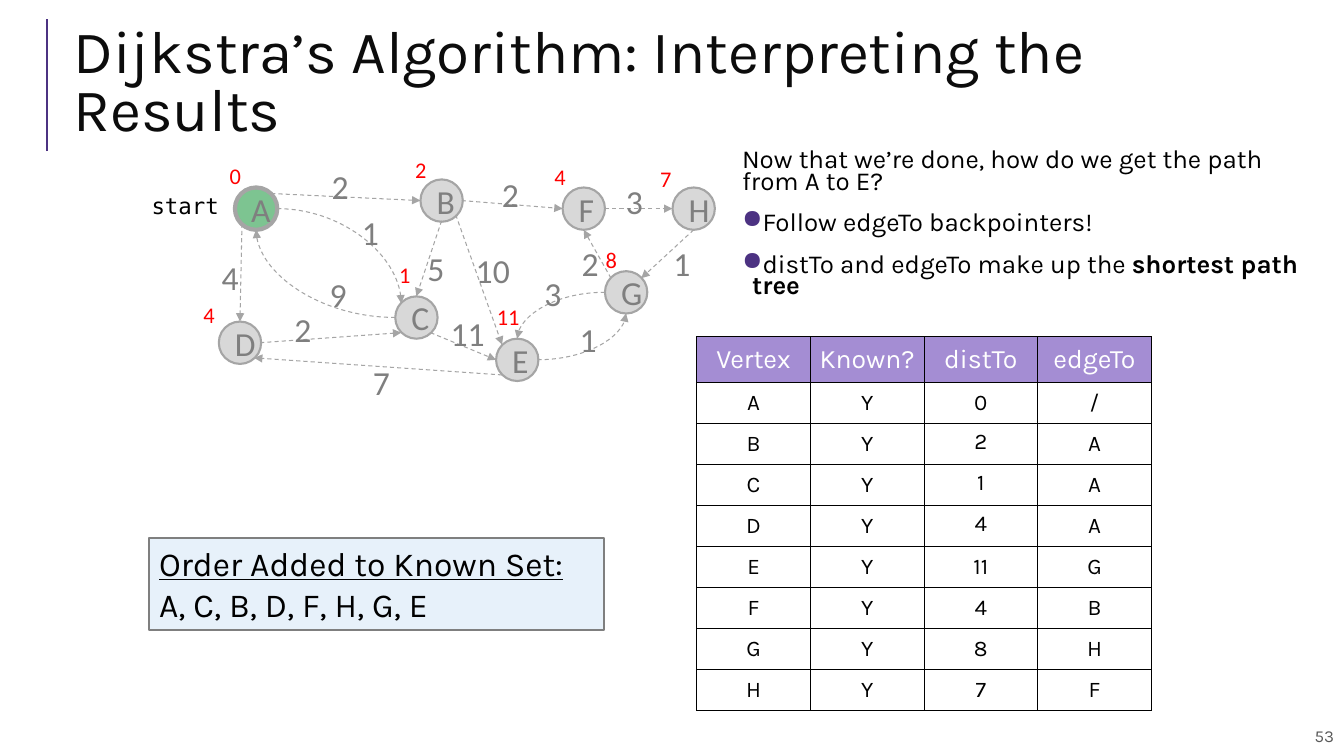
from dataclasses import dataclass

from lxml import etree
from pptx import Presentation
from pptx import util as u
from pptx.dml.color import RGBColor
from pptx.enum import dml, shapes, text
from pptx.oxml import ns

BLACK = RGBColor(0x00, 0x00, 0x00)
WHITE = RGBColor(0xFF, 0xFF, 0xFF)
RED = RGBColor(0xFF, 0x00, 0x00)
INK = RGBColor(0x0C, 0x0C, 0x0C)
NUMBER_GRAY = RGBColor(0x59, 0x59, 0x59)
GRAY = RGBColor(0x7F, 0x7F, 0x7F)
EDGE_GRAY = RGBColor(0xA5, 0xA5, 0xA5)
NODE_GRAY = RGBColor(0xD8, 0xD8, 0xD8)
START_GREEN = RGBColor(0x7D, 0xC4, 0x91)
PALE_BLUE = RGBColor(0xE7, 0xF1, 0xFA)
PURPLE = RGBColor(0x4C, 0x32, 0x82)
LILAC = RGBColor(0xA4, 0x8D, 0xD3)

NODE_SIZE = 0.42
DEFAULT_INSETS = (0.1, 0.05)
Point = tuple[float, float]


@dataclass(frozen=True)
class Node:
    name: str
    corner: Point
    distance: str
    distance_corner: Point
    is_start: bool = False


@dataclass(frozen=True)
class Edge:
    begin: Point
    end: Point
    weight: str
    weight_corner: Point
    curved: bool = False


NODES = [
    Node("A", (2.33, 1.86), "0", (2.18, 1.56), is_start=True),
    Node("B", (4.17, 1.78), "2", (4.02, 1.5)),
    Node("D", (2.17, 3.19), "4", (1.92, 2.94)),
    Node("C", (3.92, 2.94), "1", (3.86, 2.54)),
    Node("F", (5.58, 1.86), "4", (5.4, 1.57)),
    Node("H", (6.67, 1.86), "7", (6.45, 1.59)),
    Node("E", (4.92, 3.36), "11", (4.83, 2.96)),
    Node("G", (6, 2.69), "8", (5.91, 2.39)),
]
EDGES = [
    Edge((2.75, 2.07), (3.98, 3.01), "1", (3.49, 2.05), curved=True),
    Edge((3.92, 3.15), (2.54, 2.28), "9", (3.17, 2.67), curved=True),
    Edge((6, 2.9), (5.13, 3.36), "3", (5.3, 2.66), curved=True),
    Edge((5.33, 3.57), (6.21, 3.11), "1", (5.65, 3.11), curved=True),
    Edge((2.4, 2.22), (2.38, 3.19), "4", (2.1, 2.5)),
    Edge((2.58, 3.4), (3.98, 3.3), "2", (2.82, 3.02)),
    Edge((2.69, 1.92), (4.17, 1.99), "2", (3.19, 1.6)),
    Edge((4.58, 1.99), (5.58, 2.07), "2", (4.88, 1.68)),
    Edge((6, 2.07), (6.67, 2.07), "3", (6.11, 1.75)),
    Edge((6.06, 2.76), (5.79, 2.28), "2", (5.67, 2.36)),
    Edge((6.88, 2.28), (6.36, 2.76), "1", (6.58, 2.36)),
    Edge((4.52, 2.13), (4.98, 3.42), "10", (4.62, 2.43)),
    Edge((4.38, 2.19), (4.13, 2.94), "5", (4.14, 2.41)),
    Edge((4.27, 3.3), (4.92, 3.57), "11", (4.37, 3.06)),
    Edge((4.98, 3.72), (2.52, 3.55), "7", (3.6, 3.54)),
]
HEADERS = ("Vertex", "Known?", "distTo", "edgeTo")
RESULTS = [
    ("A", "0", "/"), ("B", "2", "A"), ("C", "1", "A"), ("D", "4", "A"),
    ("E", "11", "G"), ("F", "4", "B"), ("G", "8", "H"), ("H", "7", "F"),
]
TOP_ALIGNED_VERTICES = "BCD"


def add_run(paragraph, content: str, *, size: float, color: RGBColor = BLACK,
            font: str = "Karla", bold: bool = False, underline: bool = False) -> None:
    run = paragraph.add_run()
    run.text = content
    run.font.size = u.Pt(size)
    run.font.name = font
    run.font.color.rgb = color
    run.font.bold = bold
    run.font.underline = underline


def set_margins(owner, insets: Point) -> None:
    owner.margin_left = owner.margin_right = u.Inches(insets[0])
    owner.margin_top = owner.margin_bottom = u.Inches(insets[1])


def add_text_box(parent, box: tuple[float, float, float, float], *,
                 insets: Point = DEFAULT_INSETS, anchor=text.MSO_ANCHOR.TOP, wrap: bool = True):
    frame = parent.shapes.add_textbox(*map(u.Inches, box)).text_frame
    set_margins(frame, insets)
    frame.vertical_anchor = anchor
    frame.word_wrap = wrap
    return frame


def add_filled_shape(parent, kind, box: tuple[float, float, float, float], *,
                     fill: RGBColor, line: RGBColor, line_width: float):
    shape = parent.shapes.add_shape(kind, *map(u.Inches, box))
    shape.shadow.inherit = False
    shape.fill.solid()
    shape.fill.fore_color.rgb = fill
    shape.line.color.rgb = line
    shape.line.width = u.Pt(line_width)
    set_margins(shape.text_frame, DEFAULT_INSETS)
    return shape


def add_line(parent, begin: Point, end: Point, *, color: RGBColor, width: float,
             curved: bool = False):
    kind = shapes.MSO_CONNECTOR.CURVE if curved else shapes.MSO_CONNECTOR.STRAIGHT
    connector = parent.shapes.add_connector(kind, *map(u.Inches, begin + end))
    connector.line.color.rgb = color
    connector.line.width = u.Pt(width)
    properties = connector._element.spPr
    if curved:  # a single quarter bend: leaves sideways, arrives vertically
        properties.find(ns.qn("a:prstGeom")).set("prst", "curvedConnector2")
    etree.SubElement(properties, ns.qn("a:effectLst"))
    return connector


def draw_node(graph, node: Node) -> None:
    circle = add_filled_shape(
        graph, shapes.MSO_SHAPE.OVAL, (*node.corner, NODE_SIZE, NODE_SIZE),
        fill=START_GREEN if node.is_start else NODE_GRAY,
        line=EDGE_GRAY, line_width=3 if node.is_start else 1.5)
    circle.text_frame.vertical_anchor = text.MSO_ANCHOR.MIDDLE
    paragraph = circle.text_frame.paragraphs[0]
    paragraph.alignment = text.PP_ALIGN.CENTER
    add_run(paragraph, node.name, size=24, color=GRAY, font="Calibri")


def draw_edge(graph, edge: Edge) -> None:
    connector = add_line(graph, edge.begin, edge.end, color=EDGE_GRAY, width=0.75,
                         curved=edge.curved)
    connector.line.dash_style = dml.MSO_LINE.DASH
    etree.SubElement(connector.line._get_or_add_ln(), ns.qn("a:tailEnd"), type="triangle")


def draw_label(graph, content: str, corner: Point, *, size: float, color: RGBColor) -> None:
    width = 0.2 + len(content) * size * 0.007
    frame = add_text_box(graph, (*corner, width, 0.1 + size / 60), wrap=False)
    add_run(frame.paragraphs[0], content, size=size, color=color, font="Calibri")


def draw_graph(slide) -> None:
    graph = slide.shapes.add_group_shape()
    for node in NODES:
        draw_node(graph, node)
    for edge in EDGES:
        draw_edge(graph, edge)
    for edge in EDGES:
        draw_label(graph, edge.weight, edge.weight_corner, size=24, color=GRAY)
    for node in NODES:
        draw_label(graph, node.distance, node.distance_corner, size=16, color=RED)


def add_bullet(paragraph) -> None:
    properties = paragraph._p.get_or_add_pPr()
    properties.set("marL", str(u.Inches(0.1)))
    properties.set("indent", str(u.Inches(-0.11)))
    color = etree.SubElement(properties, ns.qn("a:buClr"))
    etree.SubElement(color, ns.qn("a:srgbClr"), val=str(PURPLE))
    etree.SubElement(properties, ns.qn("a:buChar"), char="●")


def draw_explanation(slide) -> None:
    frame = add_text_box(slide, (7.31, 1.45, 5.78, 1.65), insets=(0.05, 0.05))
    lines = [
        ("Now that we’re done, how do we get the path from A to E?", ""),
        ("Follow edgeTo backpointers!", ""),
        ("distTo and edgeTo make up the ", "shortest path tree"),
    ]
    for index, (plain, strong) in enumerate(lines):
        paragraph = frame.add_paragraph() if index else frame.paragraphs[0]
        paragraph.line_spacing = 0.7
        if index:
            paragraph.space_before = u.Pt(14)
            add_bullet(paragraph)
        add_run(paragraph, plain, size=18.5)
        if strong:
            add_run(paragraph, strong, size=18.5, bold=True)


def format_cell(cell, content: str, *, header: bool, top_aligned: bool) -> None:
    set_margins(cell, DEFAULT_INSETS if top_aligned else (0.07, 0.07))
    cell.vertical_anchor = text.MSO_ANCHOR.TOP if top_aligned else text.MSO_ANCHOR.MIDDLE
    properties = cell._tc.get_or_add_tcPr()
    for side in ("lnL", "lnR", "lnT", "lnB"):
        border = etree.SubElement(properties, ns.qn(f"a:{side}"), w=str(u.Pt(0.75)))
        fill = etree.SubElement(border, ns.qn("a:solidFill"))
        etree.SubElement(fill, ns.qn("a:srgbClr"), val=str(BLACK))
    if header:
        cell.fill.solid()
        cell.fill.fore_color.rgb = LILAC
    else:
        cell.fill.background()
    paragraph = cell.text_frame.paragraphs[0]
    paragraph.alignment = text.PP_ALIGN.CENTER
    add_run(paragraph, content, size=19 if header else 16, color=WHITE if header else BLACK)


def draw_results_table(slide) -> None:
    rows = [HEADERS] + [(vertex, "Y", dist, edge) for vertex, dist, edge in RESULTS]
    box = map(u.Inches, (6.91, 3.34, 4.51, 3.65))
    table = slide.shapes.add_table(len(rows), len(HEADERS), *box).table
    for row_index, row in enumerate(rows):
        table.rows[row_index].height = u.Inches(0.4 if row_index else 0.45)
        for column_index, content in enumerate(row):
            top_aligned = column_index == 2 and row[0] in TOP_ALIGNED_VERTICES
            format_cell(table.cell(row_index, column_index), content,
                        header=row_index == 0, top_aligned=top_aligned)


def draw_known_order(slide) -> None:
    box = add_filled_shape(slide, shapes.MSO_SHAPE.RECTANGLE, (1.48, 5.34, 4.51, 0.91),
                           fill=PALE_BLUE, line=GRAY, line_width=1.5)
    frame = box.text_frame
    frame.vertical_anchor = text.MSO_ANCHOR.TOP
    heading, order = frame.paragraphs[0], frame.add_paragraph()
    heading.alignment = order.alignment = text.PP_ALIGN.LEFT
    add_run(heading, "Order Added to Known Set:", size=24, underline=True)
    add_run(order, "A, C, B, D, F, H, G, E", size=24)


def main() -> None:
    presentation = Presentation()
    presentation.slide_width, presentation.slide_height = u.Inches(13.33), u.Inches(7.5)
    slide = presentation.slides.add_slide(presentation.slide_layouts[6])
    add_line(slide, (0.47, 1.5), (0.47, 0.19), color=PURPLE, width=1.5)

    middle = text.MSO_ANCHOR.MIDDLE
    number = add_text_box(slide, (8.65, 7.1, 4.68, 0.4), insets=(0.1, 0.1), anchor=middle)
    number.paragraphs[0].alignment = text.PP_ALIGN.RIGHT
    add_run(number.paragraphs[0], "53", size=12, color=NUMBER_GRAY)
    title = add_text_box(slide, (0.63, 0.29, 12.23, 1.11), anchor=middle)
    title.paragraphs[0].line_spacing = 0.8
    add_run(title.paragraphs[0], "Dijkstra’s Algorithm: Interpreting the Results",
            size=43, color=INK)

    draw_explanation(slide)
    draw_known_order(slide)
    draw_graph(slide)
    start = add_text_box(slide, (1.24, 1.78, 1.06, 0.52), insets=(0.13, 0.13))
    start.paragraphs[0].alignment = text.PP_ALIGN.RIGHT
    add_run(start.paragraphs[0], "start", size=16, font="DejaVu Sans Mono")
    draw_results_table(slide)
    presentation.save("out.pptx")


if __name__ == "__main__":
    main()
